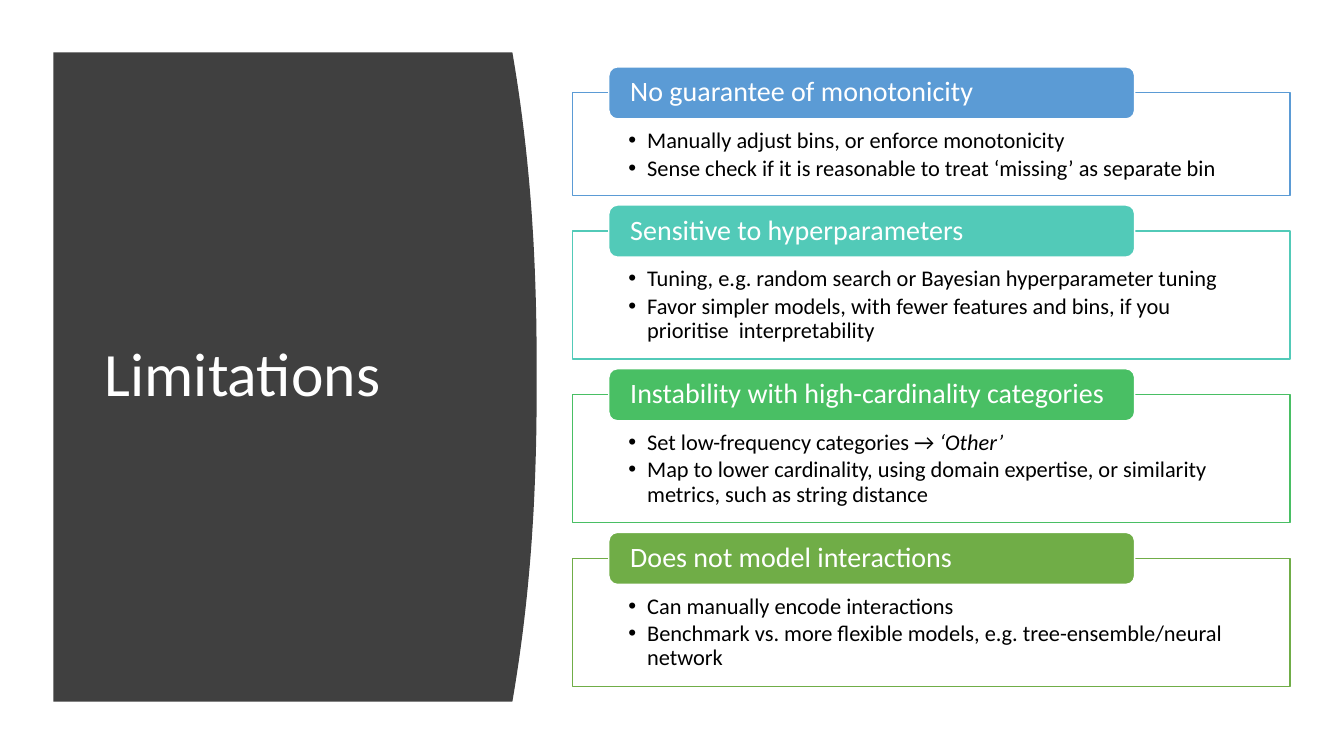
"""Build the Limitations slide: a curved title panel beside four captioned boxes."""
from lxml import etree
from pptx import Presentation
from pptx.dml.color import RGBColor
from pptx.enum.shapes import MSO_SHAPE
from pptx.enum.text import MSO_ANCHOR, MSO_AUTO_SIZE, PP_ALIGN
from pptx.oxml.ns import qn
from pptx.util import Pt

RECT, ROUND = MSO_SHAPE.RECTANGLE, MSO_SHAPE.ROUNDED_RECTANGLE
TOP, MIDDLE = MSO_ANCHOR.TOP, MSO_ANCHOR.MIDDLE
LEFT, FIXED = PP_ALIGN.LEFT, MSO_AUTO_SIZE.NONE

FONT = "Calibri"
COLORS = {"dark": "404040", "white": "FFFFFF", "black": "000000", "blue": "5B9BD5",
          "teal": "52CAB8", "green": "49BF64", "olive": "70AD47"}
TITLE = "Limitations"
# Each bullet is (plain text, italic ending).
LIMITS = [
    ("No guarantee of monotonicity", "blue", 73.2, [
        ("Manually adjust bins, or enforce monotonicity", ""),
        ("Sense check if it is reasonable to treat ‘missing’ as separate bin", "")]),
    ("Sensitive to hyperparameters", "teal", 91.4, [
        ("Tuning, e.g. random search or Bayesian hyperparameter tuning", ""),
        ("Favor simpler models, with fewer features and bins, if you "
         "prioritise  interpretability", "")]),
    ("Instability with high-cardinality categories", "green", 91.4, [
        ("Set low-frequency categories → ", "‘Other’"),
        ("Map to lower cardinality, using domain expertise, or similarity metrics, "
         "such as string distance", "")]),
    ("Does not model interactions", "olive", 91.4, [
        ("Can manually encode interactions", ""),
        ("Benchmark vs. more flexible models, e.g. tree-ensemble/neural network", "")]),
]
BOX_X, BOX_W, BOX_Y, GAP = 409, 512.6, 66.3, 25.5
CAP_X, CAP_W, CAP_H, RISE = 434.9, 375.6, 37.2, 18.5
PANEL_X, PANEL_Y, PANEL_H = 38.2, 37.4, 463.8
EDGE, BULGE, POWER, STEPS = 366, 17.4, 2.3, 48
INDENT = 13.5


def color(name):
    return RGBColor.from_string(COLORS[name])


def paint(shape, fill, line=None):
    shape.shadow.inherit = False
    shape.fill.solid()
    shape.fill.fore_color.rgb = color(fill)
    if line:
        shape.line.color.rgb = color(line)
        shape.line.width = Pt(1)
    else:
        shape.line.fill.background()


def setup(frame, anchor, left, top, right, bottom):
    frame.word_wrap = True
    frame.auto_size = FIXED
    frame.vertical_anchor = anchor
    frame.margin_left, frame.margin_top = Pt(left), Pt(top)
    frame.margin_right, frame.margin_bottom = Pt(right), Pt(bottom)


def style(para, size, name):
    para.alignment = LEFT
    para.line_spacing = 0.9
    para.font.name = FONT
    para.font.size = Pt(size)
    para.font.color.rgb = color(name)


def add_bullet(para):
    props = para._p.get_or_add_pPr()
    props.set("marL", str(Pt(INDENT)))
    props.set("indent", str(-Pt(INDENT)))
    etree.SubElement(props, qn("a:buFont")).set("typeface", "Arial")
    etree.SubElement(props, qn("a:buChar")).set("char", "•")


def add_panel(shapes):
    points = []
    for step in range(STEPS + 1):
        part = step / STEPS
        x = EDGE + BULGE * (1 - abs(2 * part - 1) ** POWER)
        points.append((Pt(x), Pt(PANEL_Y + PANEL_H * part)))
    points.append((Pt(PANEL_X), Pt(PANEL_Y + PANEL_H)))
    pen = shapes.build_freeform(Pt(PANEL_X), Pt(PANEL_Y))
    pen.add_line_segments(points, close=True)
    paint(pen.convert_to_shape(), "dark")


def add_title(shapes):
    title = shapes.title
    title.left, title.top, title.width, title.height = Pt(67.7), Pt(80), Pt(269.3), Pt(377.3)
    setup(title.text_frame, MIDDLE, 7.2, 3.6, 7.2, 3.6)
    title.text_frame.text = TITLE
    style(title.text_frame.paragraphs[0], 44, "white")
    shapes._spTree.append(title._element)


def add_box(shapes, top, height, hue, bullets):
    box = shapes.add_shape(RECT, Pt(BOX_X), Pt(top), Pt(BOX_W), Pt(height))
    paint(box, "white", hue)
    frame = box.text_frame
    setup(frame, TOP, 39.8, 26, 39.8, 8.5)
    for i, (plain, slant) in enumerate(bullets):
        para = frame.add_paragraph() if i else frame.paragraphs[0]
        add_bullet(para)
        style(para, 16, "black")
        para.space_after = Pt(2.4)
        para.add_run().text = plain
        if slant:
            run = para.add_run()
            run.text = slant
            run.font.italic = True


def add_caption(shapes, top, hue, text):
    cap = shapes.add_shape(ROUND, Pt(CAP_X), Pt(top), Pt(CAP_W), Pt(CAP_H))
    paint(cap, hue, "white")
    setup(cap.text_frame, MIDDLE, 13.5, 0, 13.5, 0)
    cap.text_frame.text = text
    style(cap.text_frame.paragraphs[0], 20, "white")


def main():
    deck = Presentation()
    deck.slide_width, deck.slide_height = Pt(960), Pt(540)
    shapes = deck.slides.add_slide(deck.slide_layouts[5]).shapes
    add_panel(shapes)
    add_title(shapes)
    top = BOX_Y
    for text, hue, height, bullets in LIMITS:
        add_box(shapes, top, height, hue, bullets)
        add_caption(shapes, top - RISE, hue, text)
        top += height + GAP
    deck.save("out.pptx")


if __name__ == "__main__":
    main()
